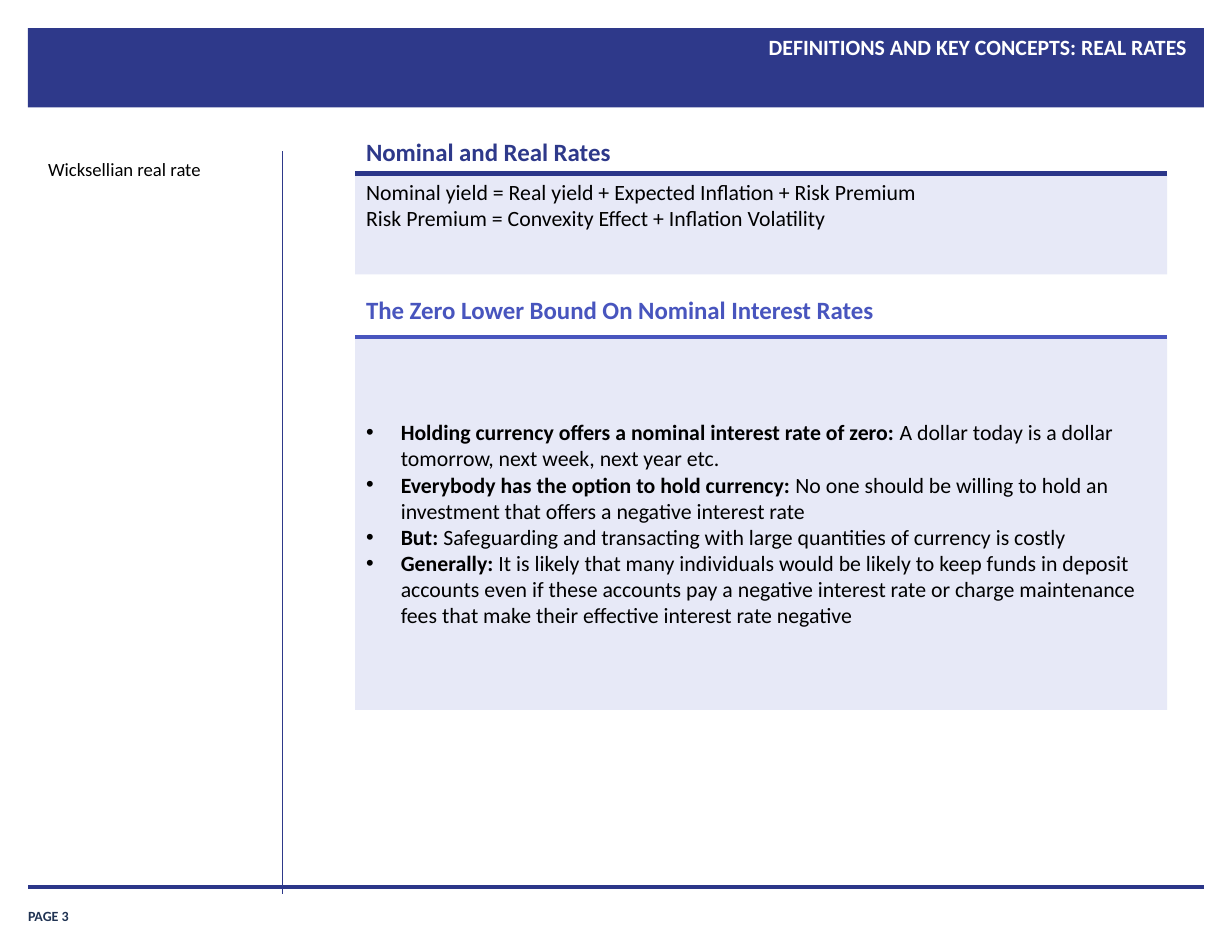
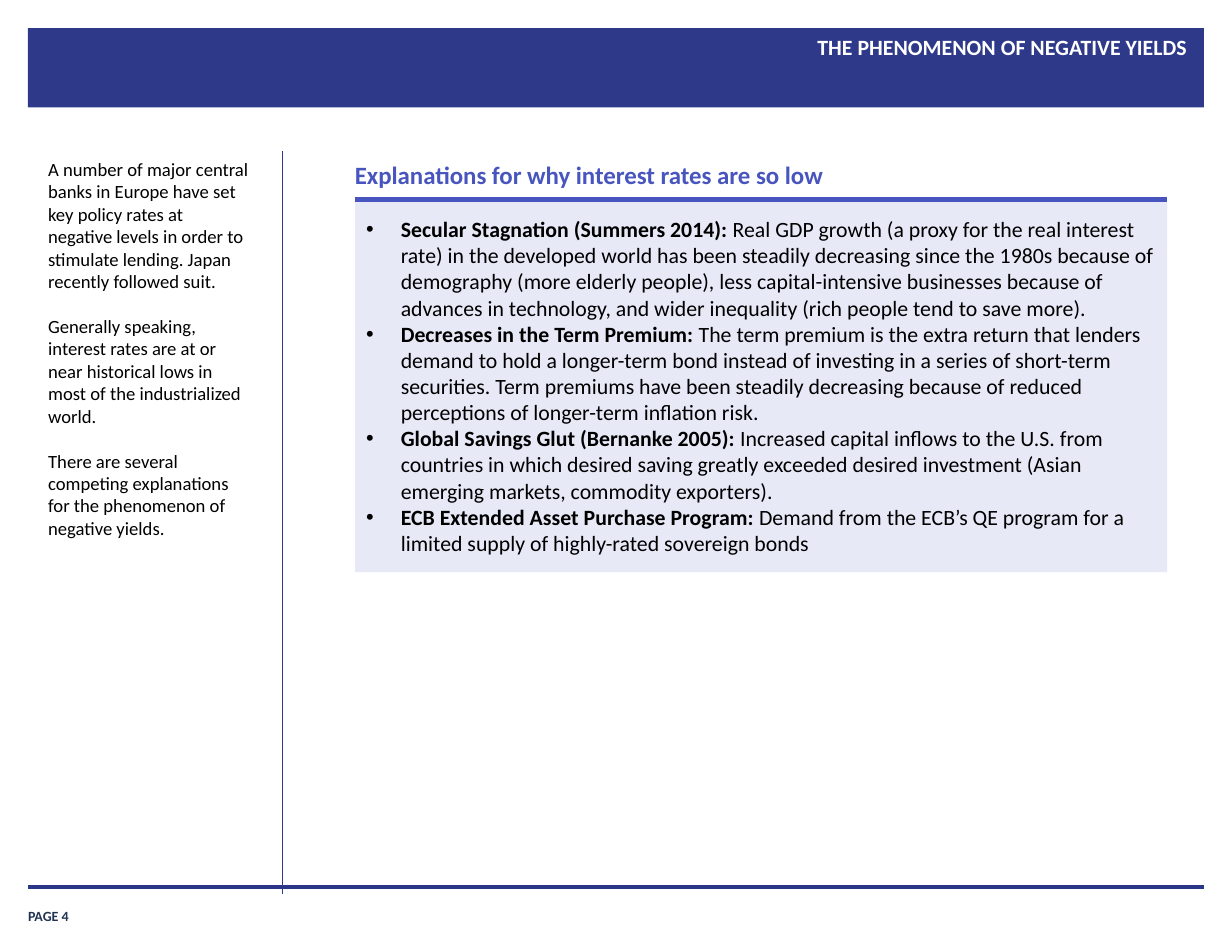
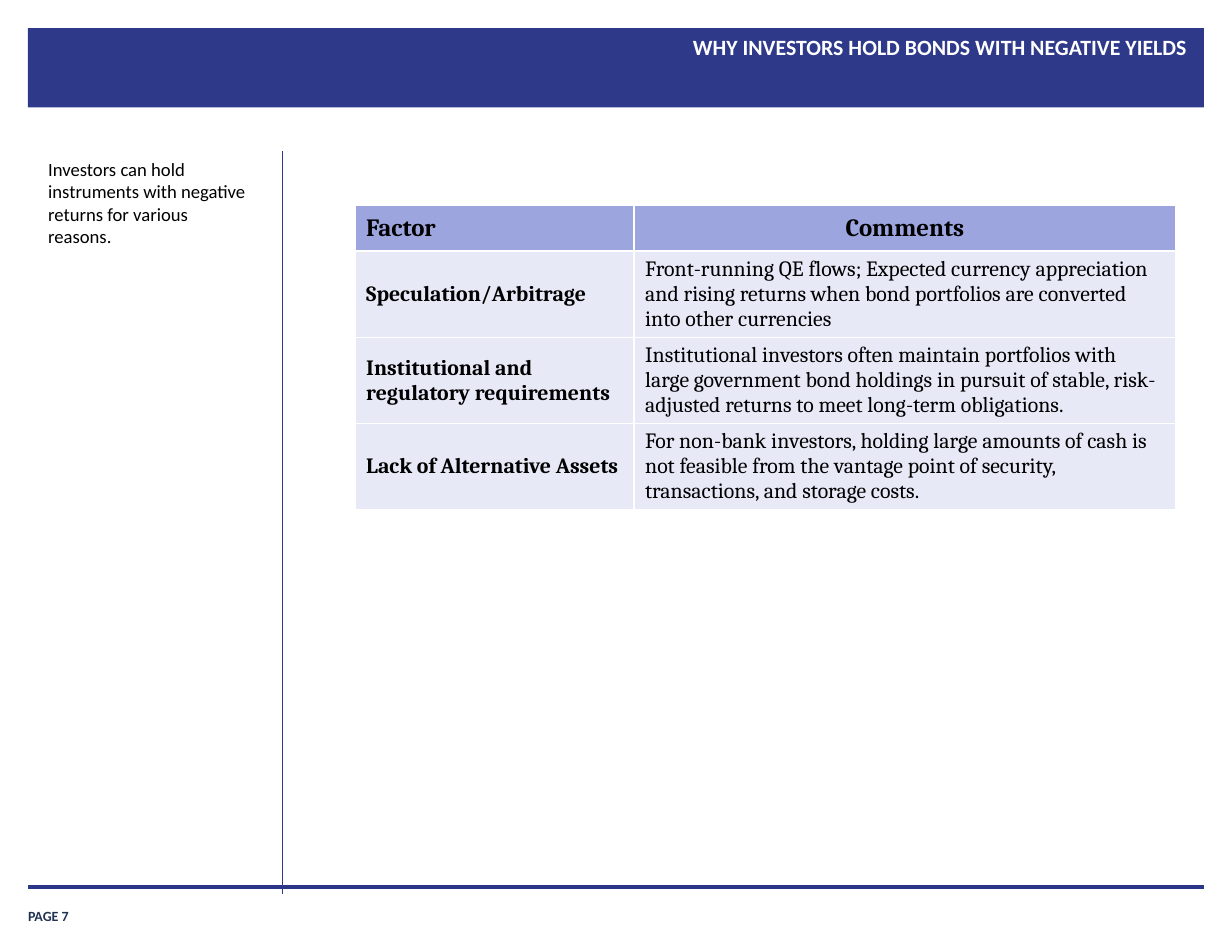
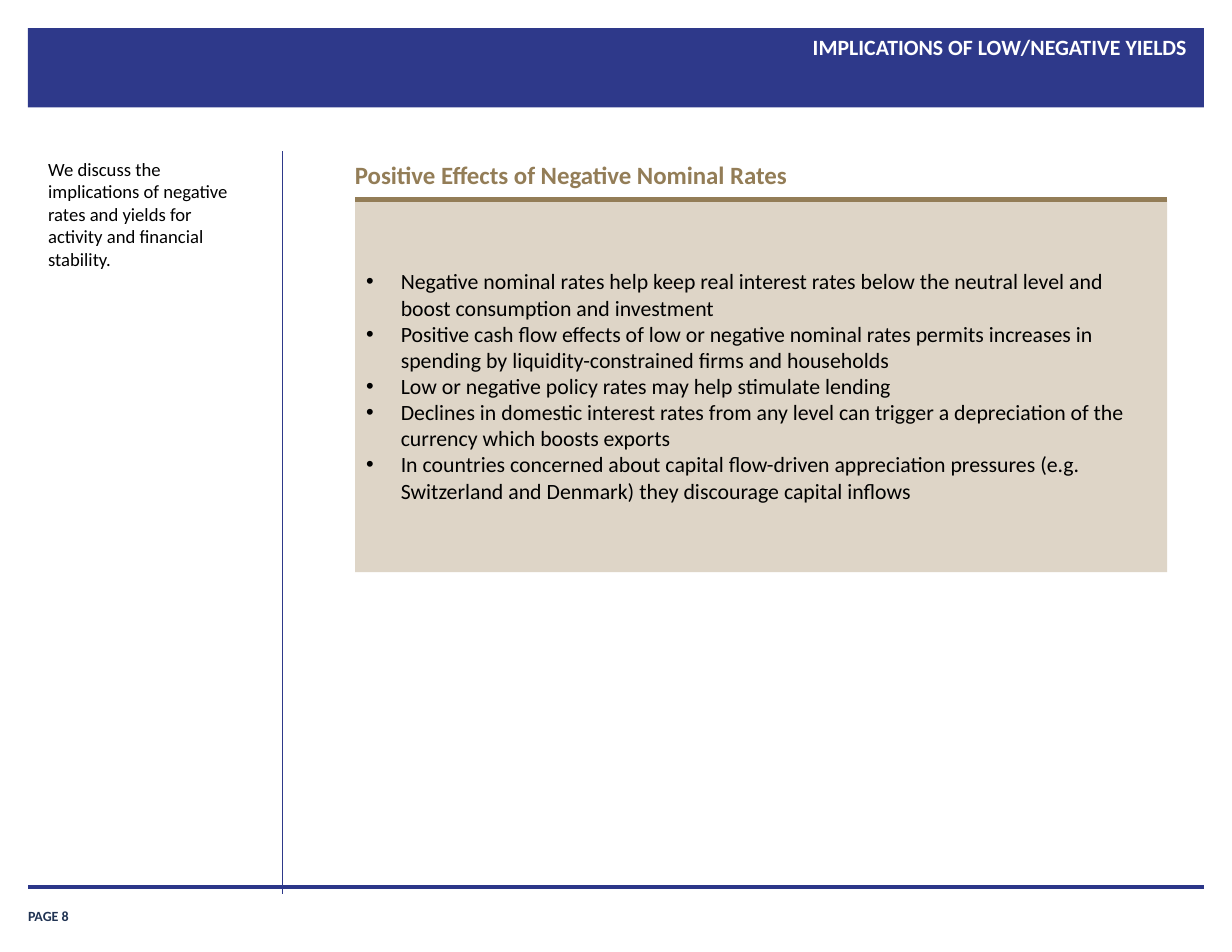
import dataclasses

import lxml.etree
import pptx
import pptx.dml.color
import pptx.enum.shapes
import pptx.enum.text
import pptx.oxml.ns
import pptx.util

Inches = pptx.util.Inches
Pt = pptx.util.Pt
ALIGN = pptx.enum.text.PP_ALIGN
ANCHOR = pptx.enum.text.MSO_ANCHOR
qn = pptx.oxml.ns.qn


@dataclasses.dataclass(frozen=True)
class Theme:
    navy: str = "2E398A"
    rule: str = "2B3689"
    blue: str = "4855BE"
    header: str = "9DA5DE"
    pale: str = "E7E9F7"
    brown: str = "937D57"
    sand: str = "DED5C7"
    page: str = "203353"
    black: str = "000000"
    white: str = "FFFFFF"
    font: str = "Calibri"
    table_font: str = "Cambria"
    heading: float = 16
    text: float = 14
    side: float = 12
    footer: float = 9
    side_gap: float = 14.5


THEME = Theme()
COLUMN_LEFT, COLUMN_WIDTH = 3.17, 7.25
MAIN_BOX = (COLUMN_LEFT, 1.78, COLUMN_WIDTH, 3.33)
WIDE_INSETS = (0.11, 0.06, 0.11, 0.06)


def rgb(value):
    return pptx.dml.color.RGBColor.from_string(value)


def add_run(p, text, size, color=THEME.black, bold=False, font=THEME.font):
    r = p.add_run()
    r.text = text
    r.font.name = font
    r.font.size = Pt(size)
    r.font.bold = bold
    r.font.color.rgb = rgb(color)


def next_paragraph(tf, index):
    return tf.add_paragraph() if index else tf.paragraphs[0]


def set_frame(tf, anchor=ANCHOR.TOP, insets=(0.1, 0.05, 0.1, 0.05)):
    tf.word_wrap = True
    tf.auto_size = pptx.enum.text.MSO_AUTO_SIZE.NONE
    tf.vertical_anchor = anchor
    tf.margin_left, tf.margin_top, tf.margin_right, tf.margin_bottom = map(Inches, insets)


def place(sp, left, top, width, height):
    sp.left, sp.top, sp.width, sp.height = map(Inches, (left, top, width, height))


def set_bullet(p, indent=0.0, char=None):
    pPr = p._p.get_or_add_pPr()
    pPr.set("marL", str(Inches(indent)))
    pPr.set("indent", str(Inches(-indent)))
    if char:
        lxml.etree.SubElement(pPr, qn("a:buFont")).set("typeface", "Arial")
        lxml.etree.SubElement(pPr, qn("a:buChar")).set("char", char)
    else:
        lxml.etree.SubElement(pPr, qn("a:buNone"))


def add_line(s, x1, y1, x2, y2, color, width):
    line = s.shapes.add_connector(
        pptx.enum.shapes.MSO_CONNECTOR.STRAIGHT, *map(Inches, (x1, y1, x2, y2)))
    line.line.color.rgb = rgb(color)
    line.line.width = Pt(width)
    lxml.etree.SubElement(line._element.spPr, qn("a:effectLst"))
    return line


def add_rect(s, box, color):
    sp = s.shapes.add_shape(pptx.enum.shapes.MSO_SHAPE.RECTANGLE, *map(Inches, box))
    sp.shadow.inherit = False
    sp.fill.solid()
    sp.fill.fore_color.rgb = rgb(color)
    sp.line.fill.background()
    return sp


def add_label(s, box, text, size, color, **frame):
    tf = s.shapes.add_textbox(*map(Inches, box)).text_frame
    set_frame(tf, **frame)
    add_run(tf.paragraphs[0], text, size, color, bold=True)


def furnish_layout(layout, s):
    """Give the layout its band, rules and placeholder boxes, drawing them through s."""
    parts = [
        add_rect(s, (0.25, 0.25, 10.5, 0.71), THEME.navy),
        add_line(s, 0.25, 7.92, 10.75, 7.92, THEME.rule, 2),
        add_line(s, 2.52, 1.35, 2.52, 7.98, THEME.navy, 0.5),
    ]
    for part in parts:
        layout.shapes.element.append(part._element)
    for ph in list(layout.placeholders):
        index = ph.placeholder_format.idx
        if index == 0:
            place(ph, 2.75, 0.24, 7.96, 0.7)
        elif index == 1:
            place(ph, 0.32, 1.35, 2.01, 6.48)
        else:
            ph._element.getparent().remove(ph._element)


def fill_slide_frame(s, title, side_notes, page):
    tf = s.shapes.title.text_frame
    set_frame(tf, insets=WIDE_INSETS)
    p = tf.paragraphs[0]
    p.alignment = ALIGN.RIGHT
    add_run(p, title, THEME.text, THEME.white, bold=True)

    tf = s.placeholders[1].text_frame
    set_frame(tf, insets=WIDE_INSETS)
    for i, note in enumerate(side_notes):
        p = next_paragraph(tf, i)
        set_bullet(p)
        p.space_before = Pt(THEME.side_gap if i else 0)
        add_run(p, note, THEME.side)

    add_label(s, (0.25, 8.02, 0.91, 0.23), f"PAGE {page}", THEME.footer, THEME.page,
              anchor=ANCHOR.BOTTOM, insets=(0, 0, 0, 0))


def add_panel(s, box, heading, items, accent=THEME.blue, rule=None, fill=THEME.pale,
              heading_shift=(-0.1, -0.4), bulleted=True):
    """Filled box under a ruled heading; items are (bold lead, text) pairs."""
    left, top, width, _ = box
    dx, dy = heading_shift
    tf = add_rect(s, box, fill).text_frame
    set_frame(tf, ANCHOR.MIDDLE if bulleted else ANCHOR.TOP)
    for i, (lead, text) in enumerate(items):
        p = next_paragraph(tf, i)
        p.alignment = ALIGN.LEFT
        if bulleted:
            set_bullet(p, 0.31, "•")
        if lead:
            add_run(p, lead, THEME.text, bold=True)
        add_run(p, text, THEME.text)
    add_line(s, left, top, left + width, top, rule or accent, 3)
    add_label(s, (left + dx, top + dy, width, 0.37), heading, THEME.heading, accent)


def set_cell_borders(cell, color, width):
    tcPr = cell._tc.get_or_add_tcPr()
    for side in ("lnL", "lnR", "lnT", "lnB"):
        ln = lxml.etree.SubElement(tcPr, qn(f"a:{side}"), w=str(Pt(width)))
        solid = lxml.etree.SubElement(ln, qn("a:solidFill"))
        lxml.etree.SubElement(solid, qn("a:srgbClr"), val=color)


def add_factor_table(s, left, top, widths, rows, header_height=0.41, row_height=0.77):
    heights = [header_height] + [row_height] * (len(rows) - 1)
    table = s.shapes.add_table(
        len(rows), len(widths),
        *map(Inches, (left, top, sum(widths), sum(heights)))).table
    table.horz_banding = False
    for column, width in zip(table.columns, widths):
        column.width = Inches(width)
    for i, (height, texts) in enumerate(zip(heights, rows)):
        table.rows[i].height = Inches(height)
        for j, text in enumerate(texts):
            header = i == 0
            cell = table.cell(i, j)
            set_cell_borders(cell, THEME.white, 1)
            cell.fill.solid()
            cell.fill.fore_color.rgb = rgb(THEME.header if header else THEME.pale)
            cell.vertical_anchor = ANCHOR.MIDDLE
            p = cell.text_frame.paragraphs[0]
            p.alignment = ALIGN.CENTER if header and j else ALIGN.LEFT
            add_run(p, text, THEME.heading if header else THEME.text,
                    bold=header or j == 0, font=THEME.table_font)


def real_rates(s):
    fill_slide_frame(s, "DEFINITIONS AND KEY CONCEPTS: REAL RATES",
                     ["Wicksellian real rate"], 3)
    add_panel(s, (COLUMN_LEFT, 1.55, COLUMN_WIDTH, 0.9), "Nominal and Real Rates", [
        ("", "Nominal yield = Real yield + Expected Inflation + Risk Premium"),
        ("", "Risk Premium = Convexity Effect + Inflation Volatility"),
    ], accent=THEME.navy, rule=THEME.rule, heading_shift=(0, -0.38), bulleted=False)
    add_panel(s, (COLUMN_LEFT, 3.01, COLUMN_WIDTH, 3.33),
              "The Zero Lower Bound On Nominal Interest Rates", [
        ("Holding currency offers a nominal interest rate of zero: ",
         "A dollar today is a dollar tomorrow, next week, next year etc."),
        ("Everybody has the option to hold currency: ",
         "No one should be willing to hold an investment that offers a negative "
         "interest rate"),
        ("But: ",
         "Safeguarding and transacting with large quantities of currency is costly"),
        ("Generally: ",
         "It is likely that many individuals would be likely to keep funds in deposit "
         "accounts even if these accounts pay a negative interest rate or charge "
         "maintenance fees that make their effective interest rate negative"),
    ], heading_shift=(0, -0.43))


def negative_yields(s):
    fill_slide_frame(s, "THE PHENOMENON OF NEGATIVE YIELDS", [
        "A number of major central banks in Europe have set key policy rates at negative "
        "levels in order to stimulate lending. Japan recently followed suit.",
        "Generally speaking, interest rates are at or near historical lows in most of the "
        "industrialized world.",
        "There are several competing explanations for the phenomenon of negative yields.",
    ], 4)
    add_panel(s, MAIN_BOX, "Explanations for why interest rates are so low", [
        ("Secular Stagnation (Summers 2014): ",
         "Real GDP growth (a proxy for the real interest rate) in the developed world has "
         "been steadily decreasing since the 1980s because of demography (more elderly "
         "people), less capital-intensive businesses because of advances in technology, "
         "and wider inequality (rich people tend to save more)."),
        ("Decreases in the Term Premium: ",
         "The term premium is the extra return that lenders demand to hold a longer-term "
         "bond instead of investing in a series of short-term securities. Term premiums "
         "have been steadily decreasing because of reduced perceptions of longer-term "
         "inflation risk."),
        ("Global Savings Glut (Bernanke 2005): ",
         "Increased capital inflows to the U.S. from countries in which desired saving "
         "greatly exceeded desired investment (Asian emerging markets, commodity "
         "exporters)."),
        ("ECB Extended Asset Purchase Program: ",
         "Demand from the ECB’s QE program for a limited supply of highly-rated sovereign "
         "bonds"),
    ])


def investor_motives(s):
    fill_slide_frame(s, "WHY INVESTORS HOLD BONDS WITH NEGATIVE YIELDS", [
        "Investors can hold instruments with negative returns for various reasons."], 7)
    add_factor_table(s, COLUMN_LEFT, 1.83, (2.49, 4.84), [
        ("Factor", "Comments"),
        ("Speculation/Arbitrage",
         "Front-running QE flows; Expected currency appreciation and rising returns when "
         "bond portfolios are converted into other currencies"),
        ("Institutional and regulatory requirements",
         "Institutional investors often maintain portfolios with large government bond "
         "holdings in pursuit of stable, risk-adjusted returns to meet long-term "
         "obligations."),
        ("Lack of Alternative Assets",
         "For non-bank investors, holding large amounts of cash is not feasible from the "
         "vantage point of security, transactions, and storage costs."),
    ])


def implications(s):
    fill_slide_frame(s, "IMPLICATIONS OF LOW/NEGATIVE YIELDS", [
        "We discuss the implications of negative rates and yields for activity and "
        "financial stability."], 8)
    add_panel(s, MAIN_BOX, "Positive Effects of Negative Nominal Rates", [
        ("", "Negative nominal rates help keep real interest rates below the neutral level "
             "and boost consumption and investment"),
        ("", "Positive cash flow effects of low or negative nominal rates permits increases "
             "in spending by liquidity-constrained firms and households"),
        ("", "Low or negative policy rates may help stimulate lending"),
        ("", "Declines in domestic interest rates from any level can trigger a depreciation "
             "of the currency which boosts exports"),
        ("", "In countries concerned about capital flow-driven appreciation pressures (e.g. "
             "Switzerland and Denmark) they discourage capital inflows"),
    ], accent=THEME.brown, fill=THEME.sand)


def main():
    prs = pptx.Presentation()
    prs.slide_width, prs.slide_height = Inches(11), Inches(8.5)
    layout = prs.slide_layouts[1]
    builders = (real_rates, negative_yields, investor_motives, implications)
    slides = [prs.slides.add_slide(layout) for _ in builders]
    furnish_layout(layout, slides[0])
    for build, s in zip(builders, slides):
        build(s)
    prs.save("out.pptx")


if __name__ == "__main__":
    main()
